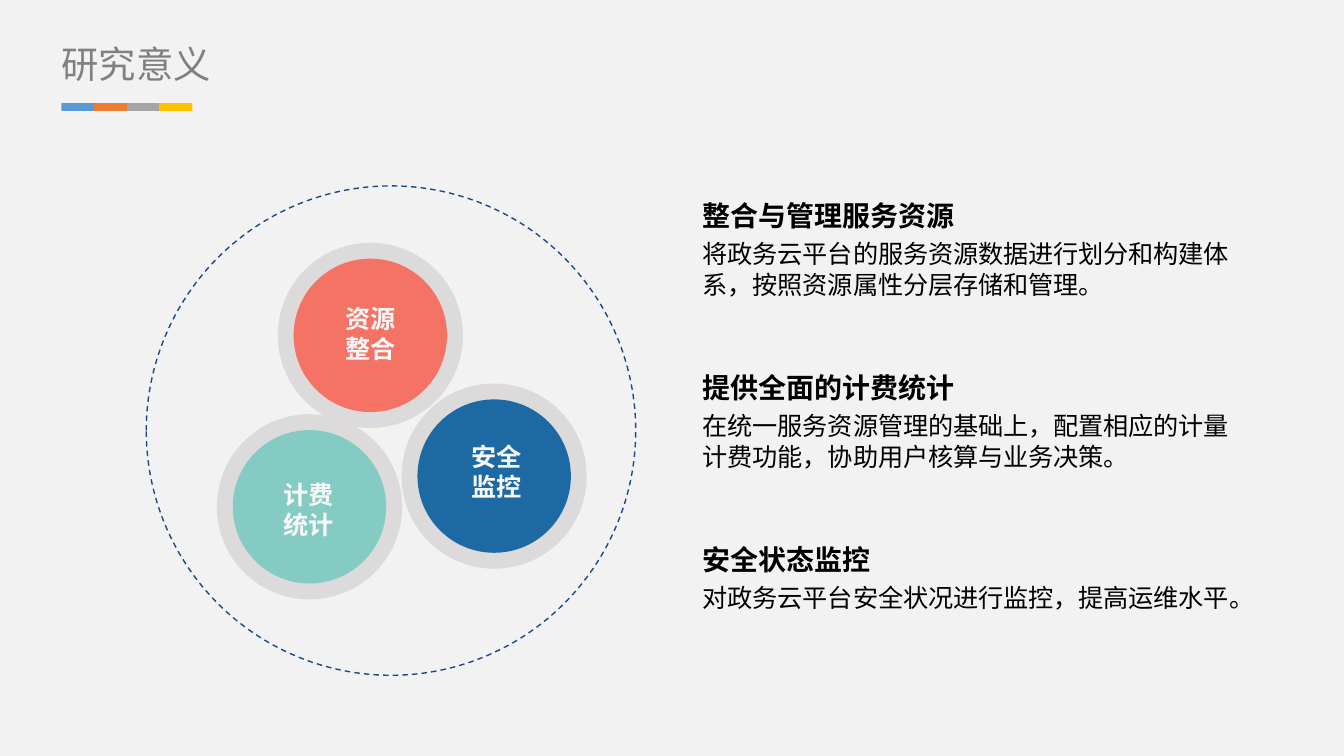
from pptx import Presentation
from pptx.dml.color import RGBColor
from pptx.enum.dml import MSO_LINE
from pptx.enum.shapes import MSO_SHAPE as Shape
from pptx.enum.text import MSO_ANCHOR as Anchor, MSO_AUTO_SIZE as AutoSize, PP_ALIGN as Align
from pptx.oxml.ns import qn
from pptx.util import Cm, Pt

FONT = "Noto Sans CJK SC"
TITLE = "研究意义"
BAR_COLOURS = ["5B9BD5", "ED7D31", "A5A5A5", "FFC000"]
# label lines, disc colour, disc centre and label centre in cm
TOPICS = [
    (["计费", "统计"], "84CBC3", (5.85, 9.58), (5.84, 9.63)),
    (["安全", "监控"], "1D69A3", (9.34, 9.0), (9.39, 8.91)),
    (["资源", "整合"], "F57365", (7.0, 6.34), (7.0, 6.3)),
]
POINTS = [
    ("整合与管理服务资源",
     "将政务云平台的服务资源数据进行划分和构建体系，按照资源属性分层存储和管理。"),
    ("提供全面的计费统计",
     "在统一服务资源管理的基础上，配置相应的计量计费功能，协助用户核算与业务决策。"),
    ("安全状态监控", "对政务云平台安全状况进行监控，提高运维水平。"),
]

MARGIN_LEFT = 1.16
BAR_TOP, BAR_WIDTH, BAR_HEIGHT = 1.95, 0.62, 0.15
ORBIT_CENTRE, ORBIT_SIZE = (7.39, 8.14), 9.25
RING_SIZE, DISC_SIZE = 3.5, 2.9
LABEL_WIDTH, LABEL_HEIGHT = 2.0, 1.42
POINT_LEFT, POINT_TOP, POINT_PITCH = 13.03, 3.62, 3.25
POINT_WIDTH, HEADING_HEIGHT, BODY_HEIGHT = 10.62, 0.76, 1.42
LINE_FACTOR = 1.22


def colour(value):
    return RGBColor.from_string(value)


def write(frame, lines, size, text_colour, bold=False, align=Align.LEFT):
    frame.word_wrap = True
    frame.auto_size = AutoSize.NONE
    for index, line in enumerate(lines):
        paragraph = frame.paragraphs[0] if index == 0 else frame.add_paragraph()
        paragraph.alignment = align
        paragraph.line_spacing = Pt(size * LINE_FACTOR)
        run = paragraph.add_run()
        run.text = line
        run.font.size = Pt(size)
        run.font.bold = bold
        run.font.name = FONT
        run.font.color.rgb = colour(text_colour)
        east_asian = run.font._element.makeelement(qn("a:ea"), {"typeface": FONT})
        run.font._element.find(qn("a:latin")).addnext(east_asian)


def add_text(left, top, width, height, lines, size, text_colour, **style):
    box = slide.shapes.add_textbox(Cm(left), Cm(top), Cm(width), Cm(height))
    write(box.text_frame, lines, size, text_colour, **style)


def add_filled(shapes, kind, left, top, width, height, fill=None):
    shape = shapes.add_shape(kind, Cm(left), Cm(top), Cm(width), Cm(height))
    shape.shadow.inherit = False
    shape.line.fill.background()
    if fill:
        shape.fill.solid()
        shape.fill.fore_color.rgb = colour(fill)
    else:
        shape.fill.background()
    return shape


def add_circle(centre, size, fill=None):
    x, y = centre
    return add_filled(slide.shapes, Shape.OVAL, x - size / 2, y - size / 2, size, size, fill)


prs = Presentation()
prs.slide_width, prs.slide_height = Cm(25.4), Cm(14.29)
slide = prs.slides.add_slide(prs.slide_layouts[5])
slide.background.fill.solid()
slide.background.fill.fore_color.rgb = colour("F2F2F2")

title = slide.shapes.title
title.left, title.top, title.width, title.height = Cm(MARGIN_LEFT), Cm(0.77), Cm(4.4), Cm(0.86)
frame = title.text_frame
frame.margin_left = frame.margin_right = frame.margin_top = frame.margin_bottom = 0
frame.vertical_anchor = Anchor.MIDDLE
write(frame, [TITLE], 20, "808080")

bars = slide.shapes.add_group_shape()
for index, fill in enumerate(BAR_COLOURS):
    add_filled(bars.shapes, Shape.RECTANGLE, MARGIN_LEFT + index * BAR_WIDTH, BAR_TOP,
               BAR_WIDTH, BAR_HEIGHT, fill)

orbit = add_circle(ORBIT_CENTRE, ORBIT_SIZE)
orbit.line.color.rgb = colour("1C4885")
orbit.line.width = Pt(0.75)
orbit.line.dash_style = MSO_LINE.DASH

for _, fill, centre, _ in TOPICS:
    add_circle(centre, RING_SIZE, "DCDADA")
    add_circle(centre, DISC_SIZE, fill)

for label, _, _, (x, y) in TOPICS:
    add_text(x - LABEL_WIDTH / 2, y - LABEL_HEIGHT / 2, LABEL_WIDTH, LABEL_HEIGHT,
             label, 13.5, "F8F8F8", bold=True, align=Align.CENTER)

for index, (heading, body) in enumerate(POINTS):
    top = POINT_TOP + index * POINT_PITCH
    add_text(POINT_LEFT, top, POINT_WIDTH, HEADING_HEIGHT, [heading], 15, "000000", bold=True)
    add_text(POINT_LEFT, top + HEADING_HEIGHT, POINT_WIDTH, BODY_HEIGHT, [body], 13.5, "000000")

prs.save("out.pptx")
